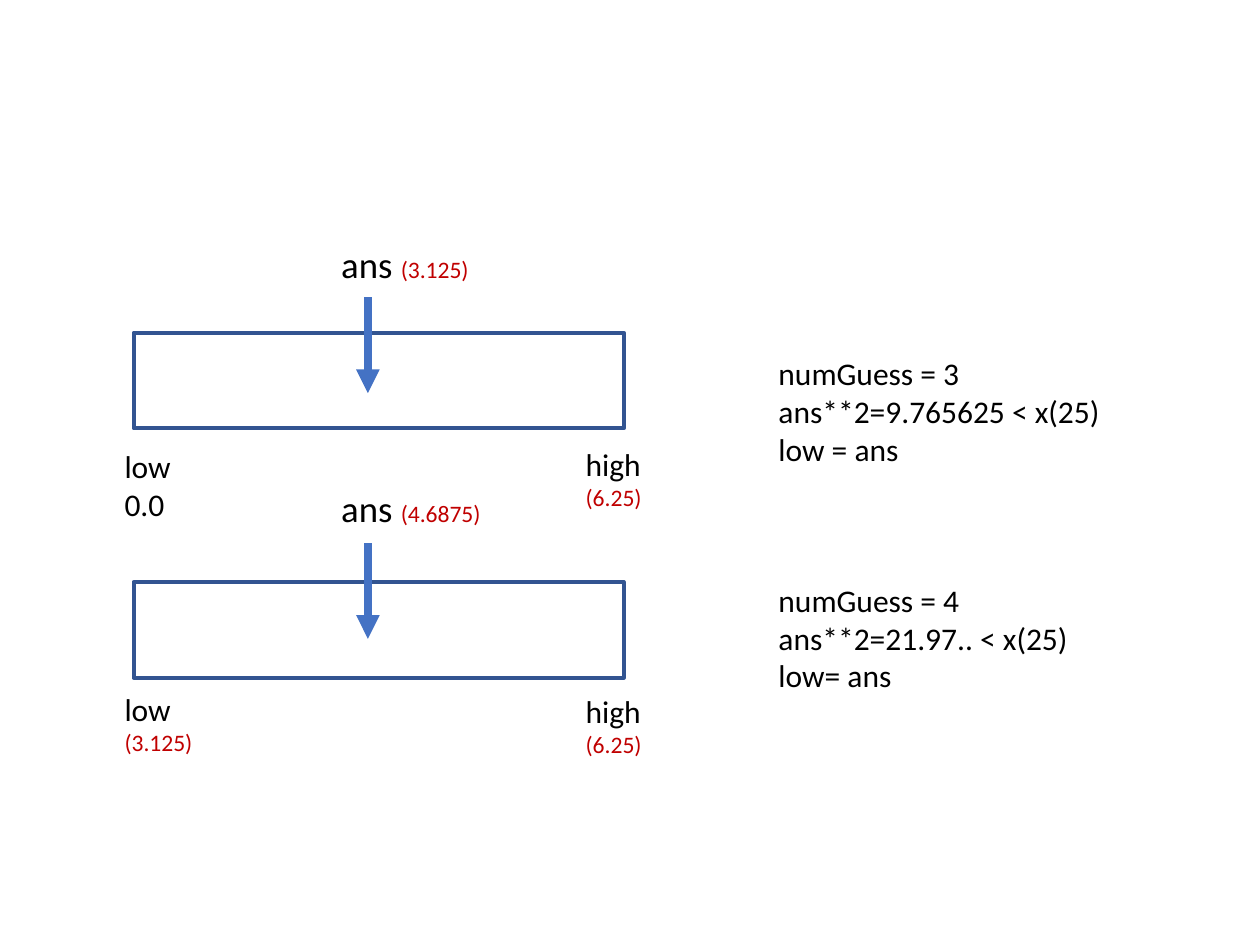
from lxml.etree import SubElement
from pptx import Presentation
from pptx.dml.color import RGBColor
from pptx.enum.shapes import MSO_CONNECTOR as Connector, MSO_SHAPE as Shape
from pptx.oxml.ns import qn
from pptx.util import Inches, Pt

BLACK, RED = "000000", "C00000"
NORMAL, LARGE, SMALL = 18, 21, 13.5


def color(value):
    """Turn a hex string into a colour."""
    return RGBColor.from_string(value)


class Sketch:
    """Draw the elements of the search diagram on one slide."""

    font = "Calibri"
    bar_fill, bar_line, arrow_line = "FFFFFF", "325491", "4472C4"

    def __init__(self, slide):
        """Keep the current slide."""
        self.slide = slide

    def text(self, left, top, width, height, lines):
        """Add a text box; each line is a list of (text, size, colour)."""
        box = self.slide.shapes.add_textbox(
            Inches(left), Inches(top), Inches(width), Inches(height))
        frame = box.text_frame
        frame.word_wrap = True
        for index, spans in enumerate(lines):
            para = frame.add_paragraph() if index else frame.paragraphs[0]
            for content, size, shade in spans:
                span = para.add_run()
                span.text = content
                span.font.name = self.font
                span.font.size = Pt(size)
                span.font.color.rgb = color(shade)

    def bar(self, left, top, width, height):
        """Add the outlined search interval."""
        bar = self.slide.shapes.add_shape(
            Shape.RECTANGLE, Inches(left), Inches(top), Inches(width), Inches(height))
        bar.shadow.inherit = False
        bar.fill.solid()
        bar.fill.fore_color.rgb = color(self.bar_fill)
        bar.line.color.rgb = color(self.bar_line)
        bar.line.width = Pt(2.25)

    def arrow(self, x, top, length):
        """Add an arrow that points straight down."""
        arrow = self.slide.shapes.add_connector(
            Connector.STRAIGHT, Inches(x), Inches(top), Inches(x), Inches(top + length))
        arrow.line.color.rgb = color(self.arrow_line)
        arrow.line.width = Pt(4.5)
        SubElement(arrow.line._get_or_add_ln(), qn("a:tailEnd"), type="triangle")
        SubElement(arrow._element.spPr, qn("a:effectLst"))


def normal(content):
    """Give a line of plain black text."""
    return [(content, NORMAL, BLACK)]


def value(content):
    """Give a line with a small red value."""
    return [(content, SMALL, RED)]


# Each guess: tops of bar, arrow, answer, low, high and notes, then the wording.
GUESSES = [
    dict(bar=2.64, arrow=2.36, ans=1.87, low=3.5, high=3.48, notes=2.76,
         answer="(3.125)", low_value=normal("0.0"),
         wording=["numGuess = 3", "ans**2=9.765625 < x(25)", "low = ans"]),
    dict(bar=4.62, arrow=4.31, ans=3.81, low=5.43, high=5.44, notes=4.56,
         answer="(4.6875)", low_value=value("(3.125)"),
         wording=["numGuess = 4", "ans**2=21.97.. < x(25)", "low= ans"]),
]

deck = Presentation()
deck.slide_width, deck.slide_height = Inches(10), Inches(7.5)
sketch = Sketch(deck.slides.add_slide(deck.slide_layouts[6]))

for guess in GUESSES:
    sketch.bar(1.06, guess["bar"], 3.89, 0.76)
    sketch.arrow(2.92, guess["arrow"], 0.76)
    sketch.text(2.61, guess["ans"], 1.36, 0.45,
                [[("ans ", LARGE, BLACK), (guess["answer"], SMALL, RED)]])
    sketch.text(0.89, guess["low"], 0.8, 0.67, [normal("low"), guess["low_value"]])
    sketch.text(4.55, guess["high"], 1.0, 0.63, [normal("high"), value("(6.25)")])
    sketch.text(6.08, guess["notes"], 3.49, 1.01,
                [normal(line) for line in guess["wording"]])

deck.save("out.pptx")
